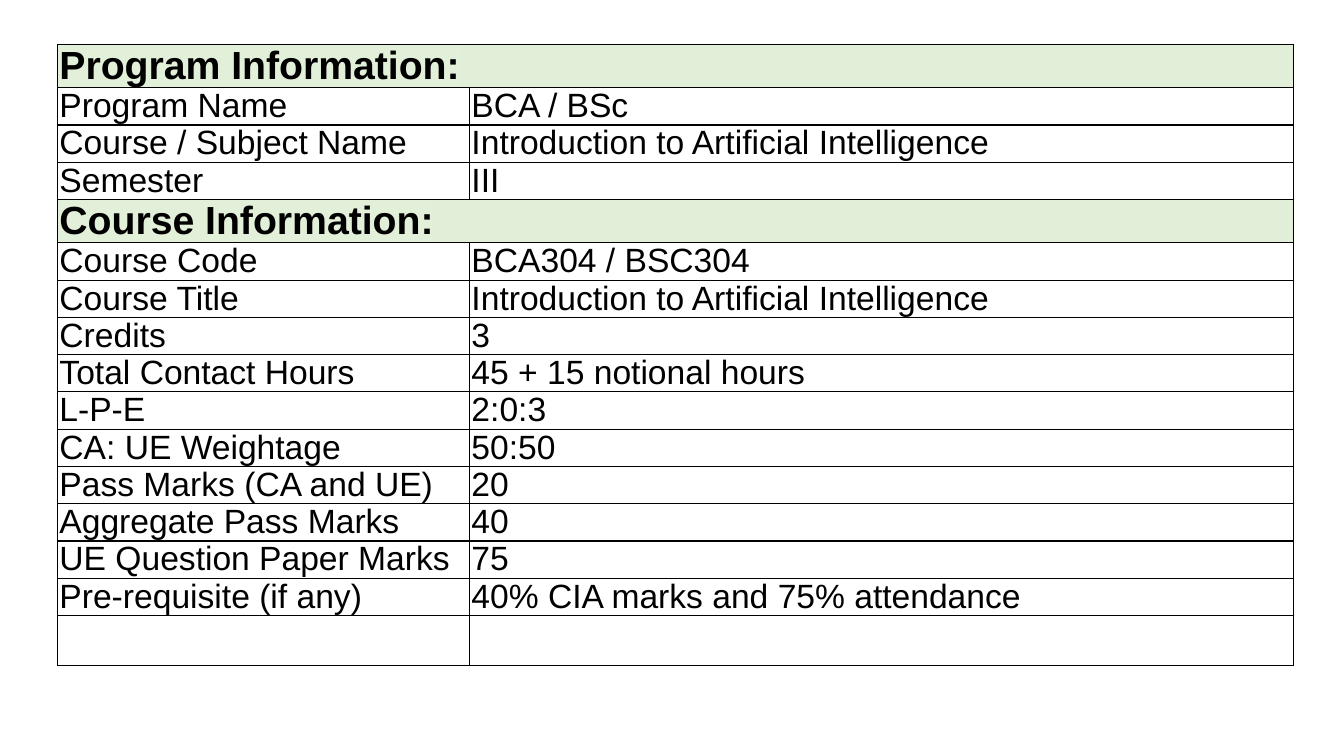
from lxml.etree import SubElement
from pptx import Presentation
from pptx.dml.color import RGBColor
from pptx.enum.text import MSO_ANCHOR
from pptx.oxml.ns import qn
from pptx.util import Inches, Pt

BLACK = RGBColor(0x00, 0x00, 0x00)
HEADING_FILL = RGBColor(0xE1, 0xEF, 0xD8)
HEADING_HIGHLIGHT = RGBColor(0xE2, 0xEF, 0xD9)

# Table grid, in inches
LEFT, TOP, WIDTH = 0.57, 0.44, 12.26
COLUMN_SHARES = (1 / 3, 2 / 3)
HEADING_HEIGHT, DETAIL_HEIGHT, EMPTY_HEIGHT = 0.43, 0.37, 0.5

# One text makes a heading, two make a detail row, none an empty row
COURSE_ROWS = [
    ("Program Information:",),
    ("Program Name", "BCA / BSc"),
    ("Course / Subject Name", "Introduction to Artificial Intelligence"),
    ("Semester", "III"),
    ("Course Information:",),
    ("Course Code", "BCA304 / BSC304"),
    ("Course Title", "Introduction to Artificial Intelligence"),
    ("Credits", "3"),
    ("Total Contact Hours", "45 + 15 notional hours"),
    ("L-P-E", "2:0:3"),
    ("CA: UE Weightage", "50:50"),
    ("Pass Marks (CA and UE)", "20"),
    ("Aggregate Pass Marks", "40"),
    ("UE Question Paper Marks", "75"),
    ("Pre-requisite (if any)", "40% CIA marks and 75% attendance"),
    (),
]
ROW_HEIGHTS = {0: EMPTY_HEIGHT, 1: HEADING_HEIGHT, 2: DETAIL_HEIGHT}


def add_borders(cell):
    properties = cell._tc.get_or_add_tcPr()
    for side in ("a:lnL", "a:lnR", "a:lnT", "a:lnB"):
        line = SubElement(properties, qn(side), w=str(Pt(1)))
        fill = SubElement(line, qn("a:solidFill"))
        SubElement(fill, qn("a:srgbClr"), val=str(BLACK))


def add_highlight(run, color):
    highlight = run.font._element.makeelement(qn("a:highlight"))
    SubElement(highlight, qn("a:srgbClr"), val=str(color))
    run.font._element.find(qn("a:solidFill")).addnext(highlight)


def write_cell(cell, text, heading):
    cell.vertical_anchor = MSO_ANCHOR.BOTTOM
    cell.margin_left = cell.margin_right = Inches(0.02)
    cell.margin_top = cell.margin_bottom = 0
    paragraph = cell.text_frame.paragraphs[0]
    paragraph.line_spacing = 0.97
    run = paragraph.add_run()
    run.text = text
    run.font.name = "Arial"
    run.font.size = Pt(28 if heading else 24)
    run.font.bold = heading
    run.font.color.rgb = BLACK
    if heading:
        add_highlight(run, HEADING_HIGHLIGHT)


def style_cell(cell, heading):
    add_borders(cell)
    if heading:
        cell.fill.solid()
        cell.fill.fore_color.rgb = HEADING_FILL
    else:
        cell.fill.background()


def add_course_table(slide, rows):
    heights = [ROW_HEIGHTS[len(texts)] for texts in rows]
    frame = slide.shapes.add_table(
        len(rows), len(COLUMN_SHARES),
        Inches(LEFT), Inches(TOP), Inches(WIDTH), Inches(sum(heights)))
    table = frame.table
    table.first_row = table.horz_banding = False
    for column, share in zip(table.columns, COLUMN_SHARES):
        column.width = Inches(WIDTH * share)

    for index, (texts, height) in enumerate(zip(rows, heights)):
        row = table.rows[index]
        row.height = Inches(height)
        heading = len(texts) == 1
        for cell in row.cells:
            style_cell(cell, heading)
        if heading:
            row.cells[0].merge(row.cells[1])
        for cell, text in zip(row.cells, texts):
            write_cell(cell, text, heading)


def main():
    presentation = Presentation()
    presentation.slide_width = Inches(13.33)
    presentation.slide_height = Inches(7.5)
    slide = presentation.slides.add_slide(presentation.slide_layouts[6])
    add_course_table(slide, COURSE_ROWS)
    presentation.save("out.pptx")


if __name__ == "__main__":
    main()
